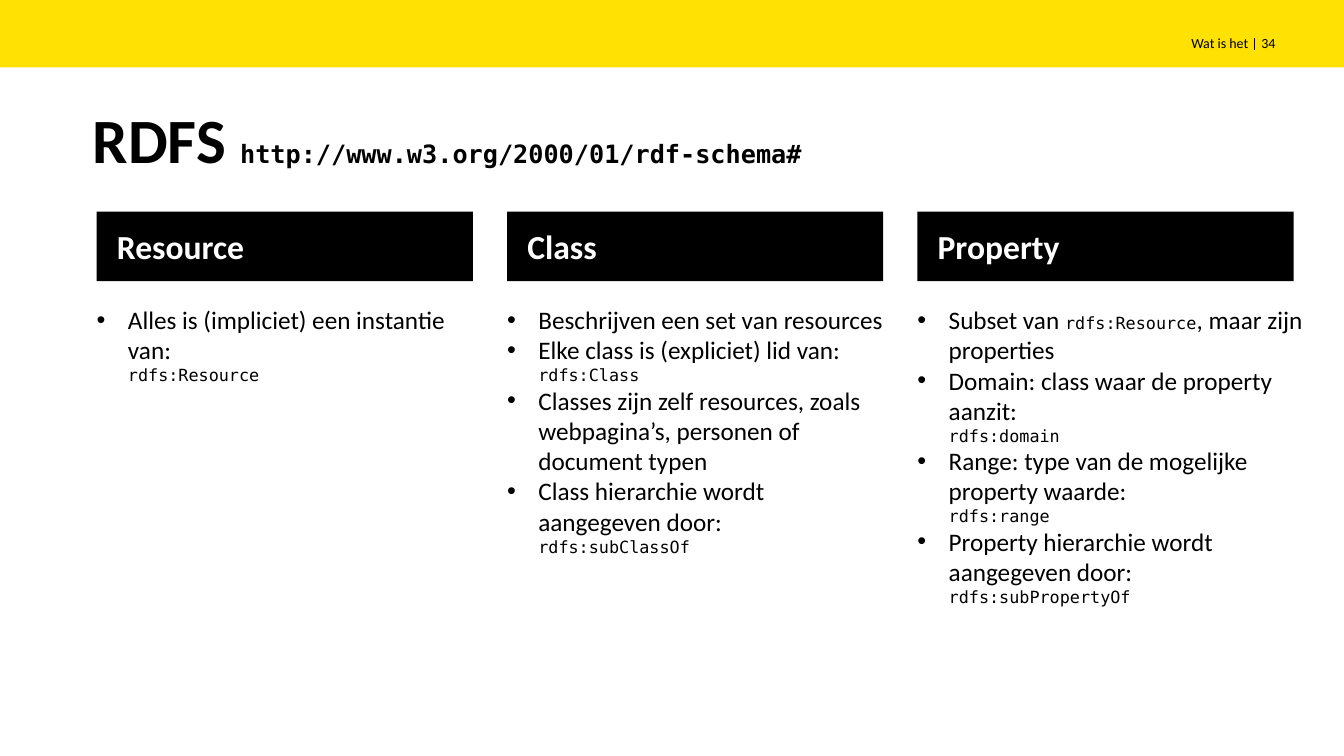
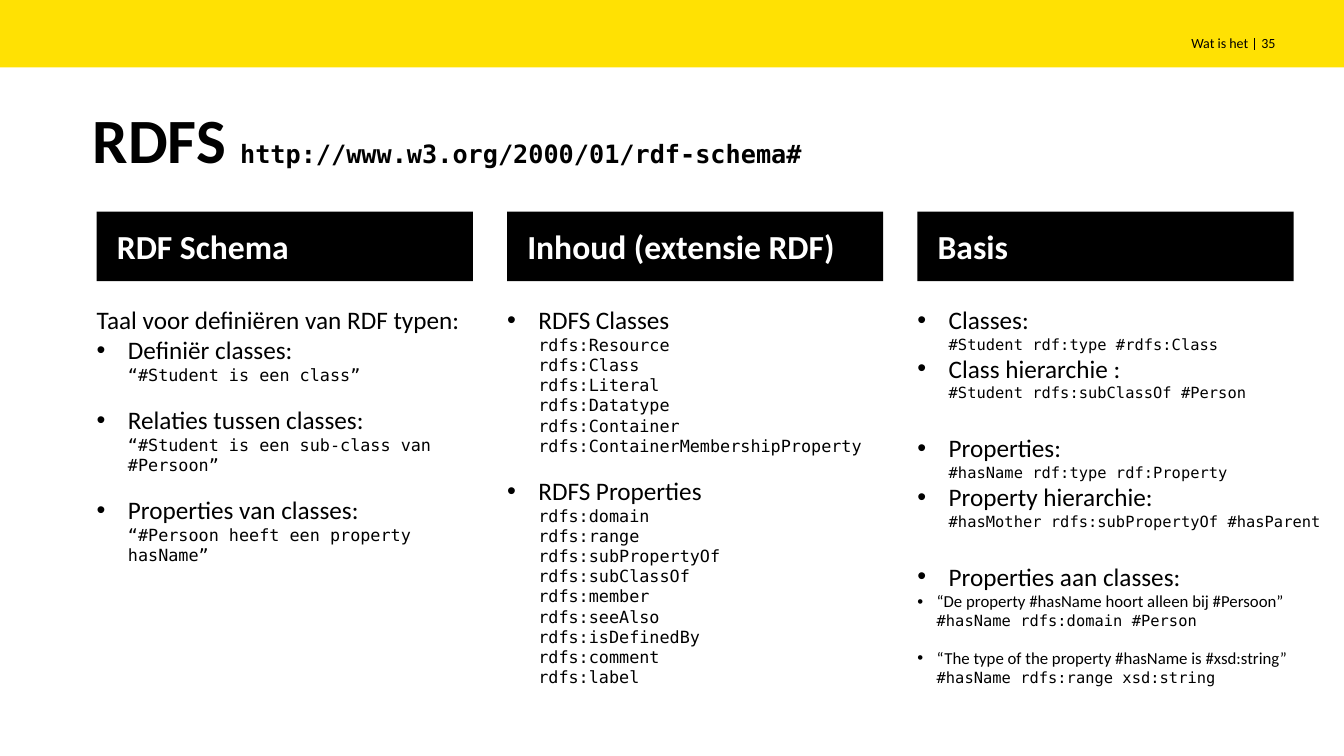
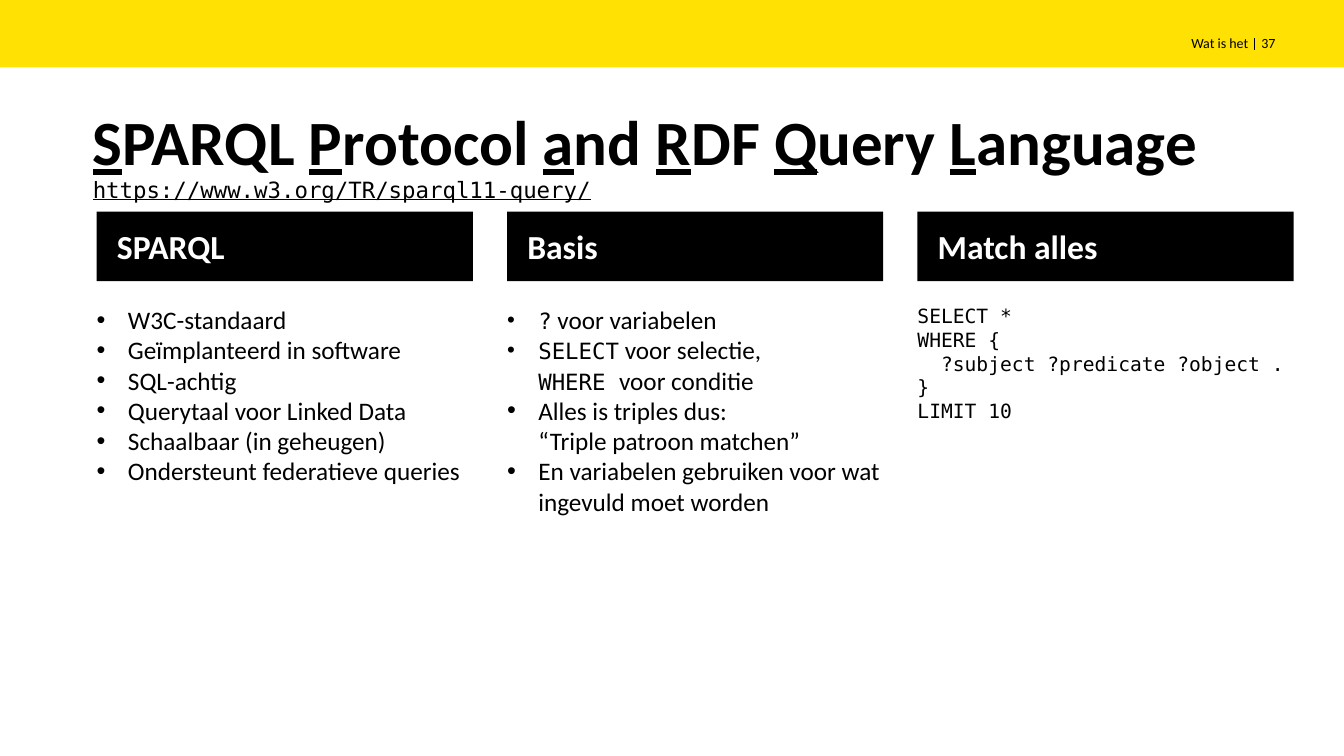
from copy import deepcopy
from dataclasses import dataclass

from lxml.etree import SubElement
from pptx import Presentation
from pptx.dml.color import RGBColor
from pptx.enum.shapes import MSO_CONNECTOR, MSO_SHAPE
from pptx.enum.text import MSO_ANCHOR, PP_ALIGN
from pptx.oxml.ns import qn
from pptx.util import Inches, Pt

YELLOW = RGBColor(0xFF, 0xE1, 0x03)
BLACK = RGBColor(0, 0, 0)
WHITE = RGBColor(0xFF, 0xFF, 0xFF)
TEXT_FONT = "Calibri"
CODE_FONT = "DejaVu Sans Mono"

COLUMN_LEFT, COLUMN_STEP, COLUMN_WIDTH = 0.96, 4.07, 3.73
WIDE_COLUMN = 4.13


@dataclass
class Item:
    """One paragraph; parts between backticks are set as code."""
    text: str
    indent: float = 0.31
    space_before: int = 0
    size: int = 18


@dataclass
class Column:
    heading: str
    items: list
    code_size: int = 12
    width: float = COLUMN_WIDTH


@dataclass
class Page:
    """Underscores in the title switch underlining on and off."""
    number: int
    title: str
    address: str
    address_style: dict
    title_bottom_inset: float
    columns: list


RDFS_TITLE = dict(
    title="RDFS ",
    address="http://www.w3.org/2000/01/rdf-schema#",
    address_style={"size": Pt(18)},
    title_bottom_inset=0.29,
)

PAGES = [
    Page(number=34, **RDFS_TITLE, columns=[
        Column("Resource", [
            Item("Alles is (impliciet) een instantie van:\n`rdfs:Resource`"),
        ]),
        Column("Class", [
            Item("Beschrijven een set van resources"),
            Item("Elke class is (expliciet) lid van:\n`rdfs:Class`"),
            Item("Classes zijn zelf resources, zoals webpagina’s, personen of document typen"),
            Item("Class hierarchie wordt aangegeven door:\n`rdfs:subClassOf`"),
        ]),
        Column("Property", [
            Item("Subset van `rdfs:Resource`, maar zijn properties"),
            Item("Domain: class waar de property aanzit:\n`rdfs:domain`"),
            Item("Range: type van de mogelijke property waarde:\n`rdfs:range`"),
            Item("Property hierarchie wordt aangegeven door:\n`rdfs:subPropertyOf`"),
        ], width=WIDE_COLUMN),
    ]),
    Page(number=35, **RDFS_TITLE, columns=[
        Column("RDF Schema", [
            Item("Taal voor definiëren van RDF typen:", indent=0),
            Item("Definiër classes:\n`“#Student is een class”`"),
            Item("Relaties tussen classes:\n`“#Student is een sub-class van #Persoon”`",
                 space_before=14),
            Item("Properties van classes:\n`“#Persoon heeft een property hasName”`",
                 space_before=14),
        ]),
        Column("Inhoud (extensie RDF)", [
            Item("RDFS Classes\n`rdfs:Resource\nrdfs:Class\nrdfs:Literal\nrdfs:Datatype\n"
                 "rdfs:Container\nrdfs:ContainerMembershipProperty`"),
            Item("RDFS Properties\n`rdfs:domain\nrdfs:range\nrdfs:subPropertyOf\n"
                 "rdfs:subClassOf\nrdfs:member\nrdfs:seeAlso\nrdfs:isDefinedBy\n"
                 "rdfs:comment\nrdfs:label`", space_before=14),
        ]),
        Column("Basis", [
            Item("Classes:\n`#Student rdf:type #rdfs:Class`"),
            Item("Class hierarchie :\n`#Student rdfs:subClassOf #Person`"),
            Item("Properties:\n`#hasName rdf:type rdf:Property`", space_before=22),
            Item("Property hierarchie:\n`#hasMother rdfs:subPropertyOf #hasParent`"),
            Item("Properties aan classes:", space_before=22),
            Item("“De property #hasName hoort alleen bij #Persoon”\n"
                 "`#hasName rdfs:domain #Person`", indent=0.19, size=12),
            Item("“The type of the property #hasName is #xsd:string”\n"
                 "`#hasName rdfs:range xsd:string`", indent=0.19, space_before=13, size=12),
        ], code_size=11, width=WIDE_COLUMN),
    ]),
    Page(
        number=37,
        title="_S_PARQL _P_rotocol _a_nd _R_DF _Q_uery _L_anguage\n",
        address="https://www.w3.org/TR/sparql11-query/",
        address_style={"size": Pt(16), "bold": False, "underline": True},
        title_bottom_inset=0,
        columns=[
            Column("SPARQL", [
                Item("W3C-standaard"),
                Item("Geïmplanteerd in software"),
                Item("SQL-achtig"),
                Item("Querytaal voor Linked Data"),
                Item("Schaalbaar (in geheugen)"),
                Item("Ondersteunt federatieve queries"),
            ]),
            Column("Basis", [
                Item("`?` voor variabelen"),
                Item("`SELECT` voor selectie,\n`WHERE `voor conditie"),
                Item("Alles is triples dus:\n“Triple patroon matchen”"),
                Item("En variabelen gebruiken voor wat ingevuld moet worden"),
            ], code_size=16),
            Column("Match alles", [
                Item("`SELECT *`", indent=0),
                Item("`WHERE {`", indent=0),
                Item("`  ?subject ?predicate ?object .`", indent=0),
                Item("`}`", indent=0),
                Item("`LIMIT 10`", indent=0),
            ], code_size=14),
        ],
    ),
]


def add_text_frame(slide, left, top, width, height, anchor=MSO_ANCHOR.MIDDLE):
    """Add a wrapping text box without insets and return its text frame."""
    box = slide.shapes.add_textbox(Inches(left), Inches(top), Inches(width), Inches(height))
    frame = box.text_frame
    frame.word_wrap = True
    frame.vertical_anchor = anchor
    frame.margin_left = frame.margin_right = frame.margin_top = frame.margin_bottom = 0
    return frame


def add_runs(paragraph, text, **style):
    """Add text in one style; line breaks take the style of the line they end."""
    run = None
    for index, line in enumerate(text.split("\n")):
        if index:
            paragraph.add_line_break()
            paragraph._p[-1].append(deepcopy(run._r.get_or_add_rPr()))
        if line:
            run = paragraph.add_run()
            run.text = line
            for name, value in style.items():
                setattr(run.font, name, value)


presentation = Presentation()
presentation.slide_width = Inches(13.33)
presentation.slide_height = Inches(7.5)

for page in PAGES:
    slide = presentation.slides.add_slide(presentation.slide_layouts[6])

    band = slide.shapes.add_shape(
        MSO_SHAPE.RECTANGLE, 0, 0, presentation.slide_width, Inches(0.67))
    band.shadow.inherit = False
    band.fill.solid()
    band.fill.fore_color.rgb = YELLOW
    band.line.fill.background()

    divider = slide.shapes.add_connector(
        MSO_CONNECTOR.STRAIGHT, Inches(12.44), Inches(0.38), Inches(12.44), Inches(0.5))
    divider.line.color.rgb = BLACK
    divider.line.width = Pt(1)
    SubElement(divider._element.spPr, qn("a:effectLst"))

    for text, left, width, alignment in [
        ("Wat is het", 6.67, 5.71, PP_ALIGN.RIGHT),
        (str(page.number), 12.51, 0.58, PP_ALIGN.LEFT),
    ]:
        paragraph = add_text_frame(slide, left, 0.26, width, 0.34).paragraphs[0]
        paragraph.text = text
        paragraph.alignment = alignment
        paragraph.font.name = TEXT_FONT
        paragraph.font.size = Pt(10)
        paragraph.font.color.rgb = BLACK

    title_frame = add_text_frame(slide, 0.92, 1.19, 11.88, 0.74)
    title_frame.margin_bottom = Inches(page.title_bottom_inset)
    paragraph = title_frame.paragraphs[0]
    paragraph.line_spacing = 0.9
    paragraph.font.color.rgb = BLACK
    for index, part in enumerate(page.title.split("_")):
        add_runs(paragraph, part, name=TEXT_FONT, size=Pt(45), bold=True,
                 underline=index % 2 == 1)
    add_runs(paragraph, page.address, **{"name": CODE_FONT, "bold": True, **page.address_style})

    for index, column in enumerate(page.columns):
        left = COLUMN_LEFT + index * COLUMN_STEP

        heading = slide.shapes.add_shape(
            MSO_SHAPE.RECTANGLE, Inches(left), Inches(2.1), Inches(COLUMN_WIDTH), Inches(0.69))
        heading.shadow.inherit = False
        heading.fill.solid()
        heading.fill.fore_color.rgb = BLACK
        heading.line.fill.background()
        frame = heading.text_frame
        frame.vertical_anchor = MSO_ANCHOR.MIDDLE
        frame.margin_left = frame.margin_right = Inches(0.2)
        frame.margin_top = frame.margin_bottom = 0
        paragraph = frame.paragraphs[0]
        paragraph.text = column.heading
        paragraph.alignment = PP_ALIGN.LEFT
        paragraph.font.name = TEXT_FONT
        paragraph.font.size = Pt(24)
        paragraph.font.bold = True
        paragraph.font.color.rgb = WHITE

        body = add_text_frame(slide, left, 3.02, column.width, 3.94, MSO_ANCHOR.TOP)
        for position, item in enumerate(column.items):
            paragraph = body.add_paragraph() if position else body.paragraphs[0]
            if item.space_before:
                paragraph.space_before = Pt(item.space_before)
            if item.indent:
                properties = paragraph._p.get_or_add_pPr()
                properties.set("marL", str(Inches(item.indent)))
                properties.set("indent", str(-Inches(item.indent)))
                SubElement(properties, qn("a:buFont"), typeface="Arial")
                SubElement(properties, qn("a:buChar"), char="•")
            paragraph.font.color.rgb = BLACK
            for part_index, part in enumerate(item.text.split("`")):
                if part_index % 2:
                    add_runs(paragraph, part, name=CODE_FONT, size=Pt(column.code_size))
                else:
                    add_runs(paragraph, part, name=TEXT_FONT, size=Pt(item.size))

presentation.save("out.pptx")
